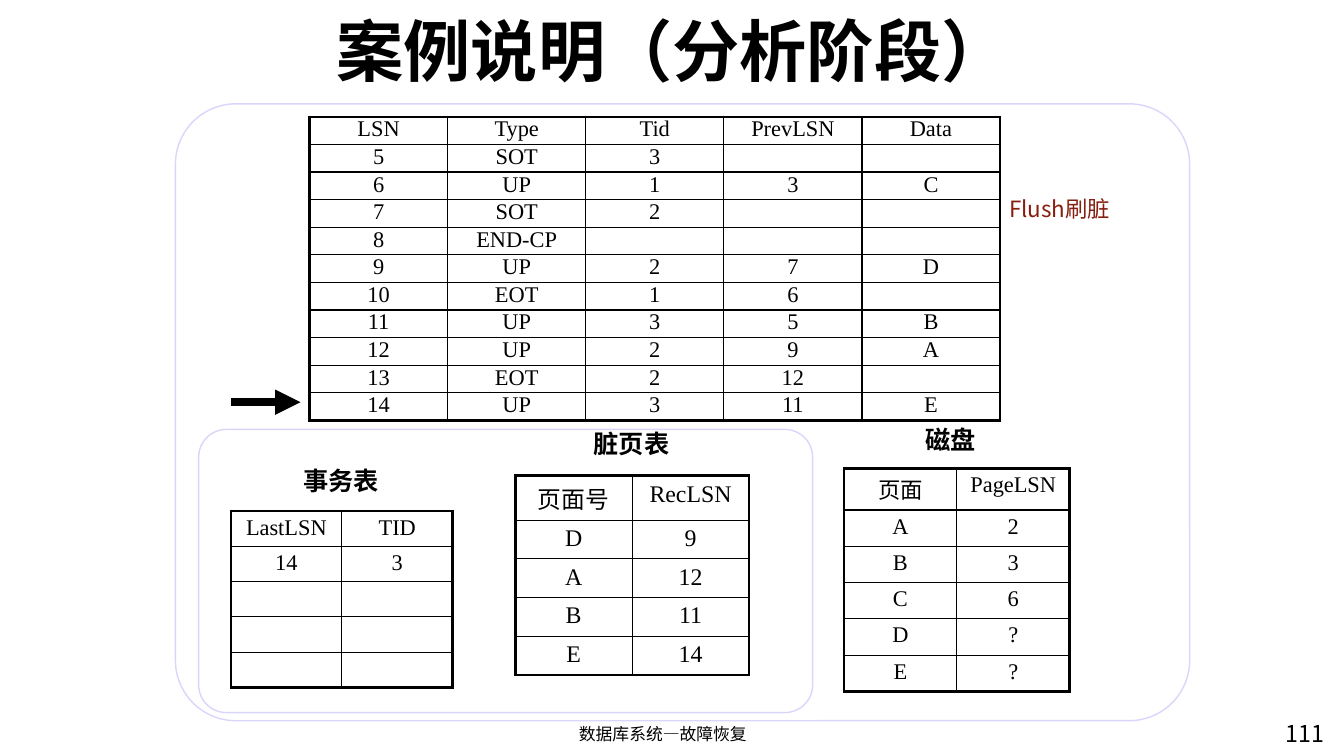
from dataclasses import dataclass

from lxml import etree
from pptx import Presentation
from pptx import util as u
from pptx.dml.color import RGBColor
from pptx.enum import shapes, text
from pptx.oxml.ns import qn


@dataclass(frozen=True)
class Theme:
    black: str = "000000"
    white: str = "FFFFFF"
    outline: str = "D9D6FB"
    flush: str = "861F10"
    sans: str = "Noto Sans CJK SC"
    serif: str = "Times New Roman"
    title: float = 48
    label: float = 18
    note: float = 16
    number: float = 16.6
    footer: float = 12
    thick: float = 2.25
    thin: float = 1


theme = Theme()


def add_run(paragraph, words, size, font, color=theme.black, bold=False):
    run = paragraph.add_run()
    run.text = words
    run.font.size = u.Pt(size)
    run.font.name = font
    run.font.bold = bold
    run.font.color.rgb = RGBColor.from_string(color)
    properties = run.font._element
    etree.SubElement(properties, qn("a:ea"), typeface=font)


def add_border(cell, side, width):
    properties = cell._tc.get_or_add_tcPr()
    line = etree.SubElement(properties, qn(f"a:ln{side}"), w=str(u.Pt(width)))
    fill = etree.SubElement(line, qn("a:solidFill"))
    etree.SubElement(fill, qn("a:srgbClr"), val=theme.black)


presentation = Presentation()
presentation.slide_width = u.Inches(13.33)
presentation.slide_height = u.Inches(7.5)
slide = presentation.slides.add_slide(presentation.slide_layouts[6])

# Rounded panels: the whole case, and the tables held in memory
for box in [(1.74, 1.03, 10.06, 6.12), (1.97, 4.26, 6.09, 2.81)]:
    panel = slide.shapes.add_shape(
        shapes.MSO_SHAPE.ROUNDED_RECTANGLE, *map(u.Inches, box))
    panel.adjustments[0] = 0.098
    panel.shadow.inherit = False
    panel.fill.solid()
    panel.fill.fore_color.rgb = RGBColor.from_string(theme.white)
    panel.line.color.rgb = RGBColor.from_string(theme.outline)
    panel.line.width = u.Pt(theme.thin)

# Title, footer, page number, table labels and the flush note
left, center = text.PP_ALIGN.LEFT, text.PP_ALIGN.CENTER
top, middle = text.MSO_ANCHOR.TOP, text.MSO_ANCHOR.MIDDLE
texts = [
    ("案例说明（分析阶段）", (1.15, 0.12, 11.04, 0.74), theme.title, theme.black, True, center, middle, 1.0),
    ("数据库系统—故障恢复", (4.47, 7.16, 4.21, 0.34), theme.footer, theme.black, False, center, top, 0.85),
    ("111", (12.65, 7.13, 0.84, 0.52), theme.number, theme.black, False, left, top, 0.85),
    ("事务表", (2.91, 4.61, 0.96, 0.4), theme.label, theme.black, True, left, top, 0.85),
    ("脏页表", (5.79, 4.25, 0.96, 0.4), theme.label, theme.black, True, left, top, 0.85),
    ("磁盘", (9.08, 4.21, 0.83, 0.4), theme.label, theme.black, True, left, top, 0.85),
    ("Flush刷脏", (9.91, 1.93, 1.21, 0.37), theme.note, theme.flush, False, left, top, 0.85),
]
for words, box, size, color, bold, align, anchor, spacing in texts:
    frame = slide.shapes.add_textbox(*map(u.Inches, box)).text_frame
    frame.word_wrap = True
    frame.vertical_anchor = anchor
    paragraph = frame.paragraphs[0]
    paragraph.alignment = align
    paragraph.line_spacing = spacing
    add_run(paragraph, words, size, theme.sans, color, bold)

# Arrow to the current log record
arrow = slide.shapes.add_connector(
    shapes.MSO_CONNECTOR.STRAIGHT,
    u.Inches(2.29), u.Inches(3.99), u.Inches(2.98), u.Inches(3.99))
arrow.line.color.rgb = RGBColor.from_string(theme.black)
arrow.line.width = u.Pt(6)
etree.SubElement(arrow.line._get_or_add_ln(), qn("a:tailEnd"), type="triangle")
etree.SubElement(arrow._element.spPr, qn("a:effectLst"))

# Table contents
log_rows = [
    ("LSN", "Type", "Tid", "PrevLSN", "Data"),
    ("5", "SOT", "3", "", ""),
    ("6", "UP", "1", "3", "C"),
    ("7", "SOT", "2", "", ""),
    ("8", "END-CP", "", "", ""),
    ("9", "UP", "2", "7", "D"),
    ("10", "EOT", "1", "6", ""),
    ("11", "UP", "3", "5", "B"),
    ("12", "UP", "2", "9", "A"),
    ("13", "EOT", "2", "12", ""),
    ("14", "UP", "3", "11", "E"),
]
transaction_rows = [("LastLSN", "TID"), ("14", "3")] + [("", "")] * 3
dirty_page_rows = [("页面号", "RecLSN"), ("D", "9"), ("A", "12"), ("B", "11"), ("E", "14")]
disk_rows = [("页面", "PageLSN"), ("A", "2"), ("B", "3"), ("C", "6"), ("D", "?"), ("E", "?")]

# Rows, left, top, column width, header height, row height, type size, side and top margins
tables = [
    (log_rows, 3.07, 1.16, 1.37, 3.01 / 11, 3.01 / 11, 16, 0.05, 0),
    (transaction_rows, 2.29, 5.07, 1.1, 0.35, 0.35, 16, 0.09, 0.04),
    (dirty_page_rows, 5.11, 4.72, 1.16, 0.44, 0.37, 17, 0.09, 0.05),
    (disk_rows, 8.37, 4.65, 1.12, 0.41, 0.36, 16, 0.09, 0.04),
]
for rows, x, y, column_width, header, height, size, side_margin, top_margin in tables:
    row_count, column_count = len(rows), len(rows[0])
    table = slide.shapes.add_table(
        row_count, column_count, u.Inches(x), u.Inches(y),
        u.Inches(column_width * column_count),
        u.Inches(header + height * (row_count - 1))).table
    table.first_row = table.horz_banding = False
    for column in table.columns:
        column.width = u.Inches(column_width)
    for r, row in enumerate(rows):
        table.rows[r].height = u.Inches(height if r else header)
        for c, words in enumerate(row):
            cell = table.cell(r, c)
            cell.margin_left = cell.margin_right = u.Inches(side_margin)
            cell.margin_top = cell.margin_bottom = u.Inches(top_margin)
            edges = {"L": c == 0, "R": c == column_count - 1,
                     "T": r == 0, "B": r == row_count - 1}
            for side, is_outer in edges.items():
                add_border(cell, side, theme.thick if is_outer else theme.thin)
            cell.fill.solid()
            cell.fill.fore_color.rgb = RGBColor.from_string(theme.white)
            paragraph = cell.text_frame.paragraphs[0]
            paragraph.alignment = center
            if words:
                add_run(paragraph, words, size, theme.serif if words.isascii() else theme.sans)
            else:
                # An empty cell keeps the type size so its row does not grow
                end = etree.SubElement(paragraph._p, qn("a:endParaRPr"), sz=str(size * 100))
                etree.SubElement(end, qn("a:latin"), typeface=theme.serif)

presentation.save("out.pptx")
